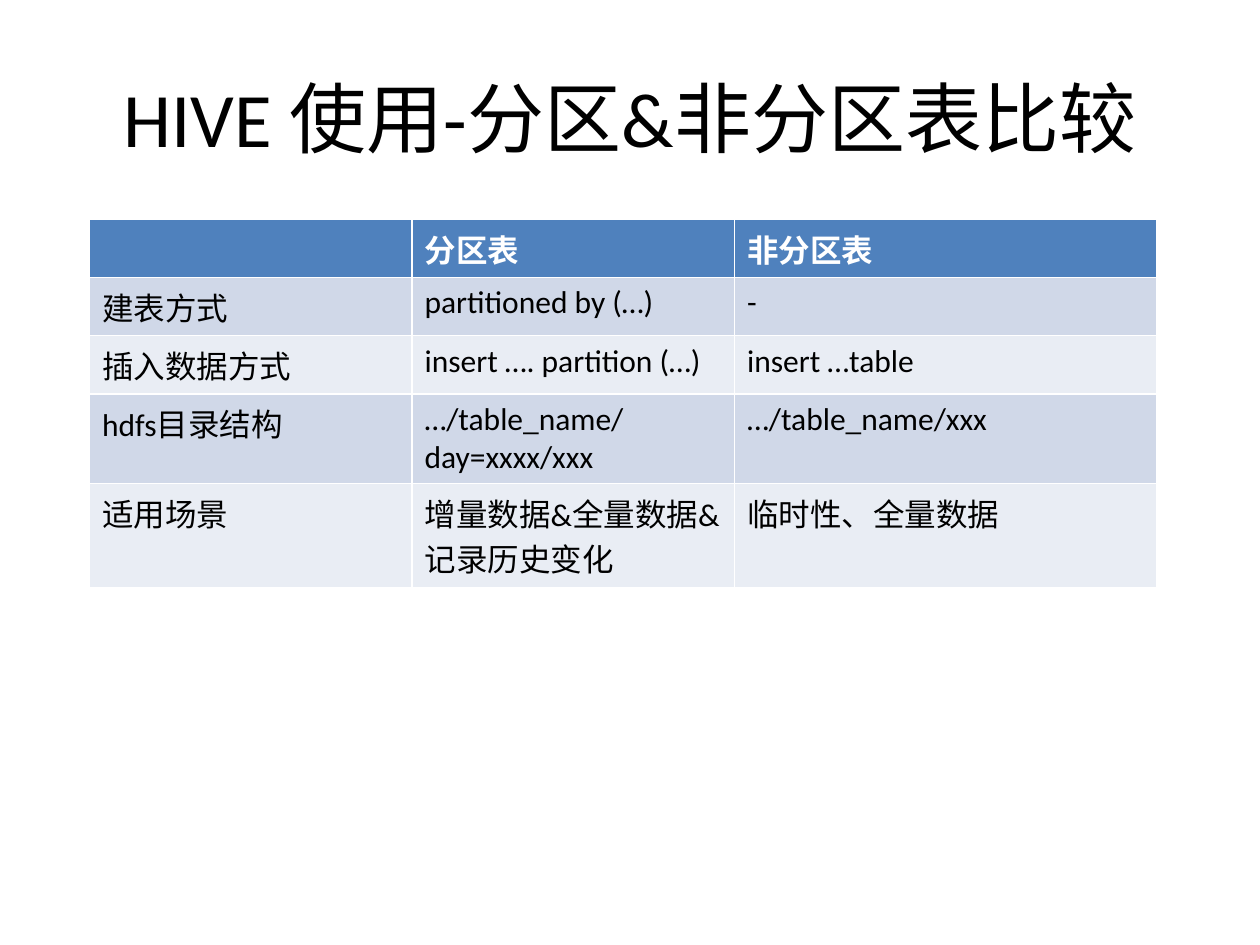
from pptx import Presentation
from pptx.dml.color import RGBColor
from pptx.enum.text import MSO_ANCHOR, PP_ALIGN
from pptx.util import Inches, Pt

COLORS = {
    "header": "4F81BD",
    "odd_row": "D0D8E8",
    "even_row": "E9EDF4",
    "white": "FFFFFF",
    "black": "000000",
}


def add_text(paragraph, text, size=18, color="black", bold=False, font="Calibri"):
    run = paragraph.add_run()
    run.text = text
    run.font.size = Pt(size)
    run.font.name = font
    run.font.bold = bold
    run.font.color.rgb = RGBColor.from_string(COLORS[color])


presentation = Presentation()
presentation.slide_width = Inches(10)
presentation.slide_height = Inches(7.5)
slide = presentation.slides.add_slide(presentation.slide_layouts[5])

# Title
title = slide.shapes.title
title.left, title.top = Inches(0.5), Inches(0.3)
title.width, title.height = Inches(9), Inches(1.25)
title.text_frame.vertical_anchor = MSO_ANCHOR.MIDDLE
title_paragraph = title.text_frame.paragraphs[0]
title_paragraph.alignment = PP_ALIGN.CENTER
add_text(title_paragraph, "HIVE 使用-分区&非分区", size=44)
add_text(title_paragraph, "表比较", size=44, font="Arial")

# Comparison table
rows = [
    ["", "分区表", "非分区表"],
    ["建表方式", "partitioned by (…)", "-"],
    ["插入数据方式", "insert …. partition (…)", "insert …table"],
    ["hdfs目录结构", "…/table_name/day=xxxx/xxx", "…/table_name/xxx"],
    ["适用场景", "增量数据&全量数据&记录历史变化", "临时性、全量数据"],
]
column_widths = [2.56, 2.56, 3.35]
row_height = 0.41
table = slide.shapes.add_table(
    len(rows), len(column_widths), Inches(0.71), Inches(1.74),
    Inches(sum(column_widths)), Inches(row_height * len(rows)),
).table
for column, width in zip(table.columns, column_widths):
    column.width = Inches(width)

for row_index, row in enumerate(rows):
    is_header = row_index == 0
    fill = "header" if is_header else "odd_row" if row_index % 2 else "even_row"
    for column_index, text in enumerate(row):
        cell = table.cell(row_index, column_index)
        cell.fill.solid()
        cell.fill.fore_color.rgb = RGBColor.from_string(COLORS[fill])
        if text:
            add_text(cell.text_frame.paragraphs[0], text, bold=is_header,
                     color="white" if is_header else "black")

presentation.save("out.pptx")
